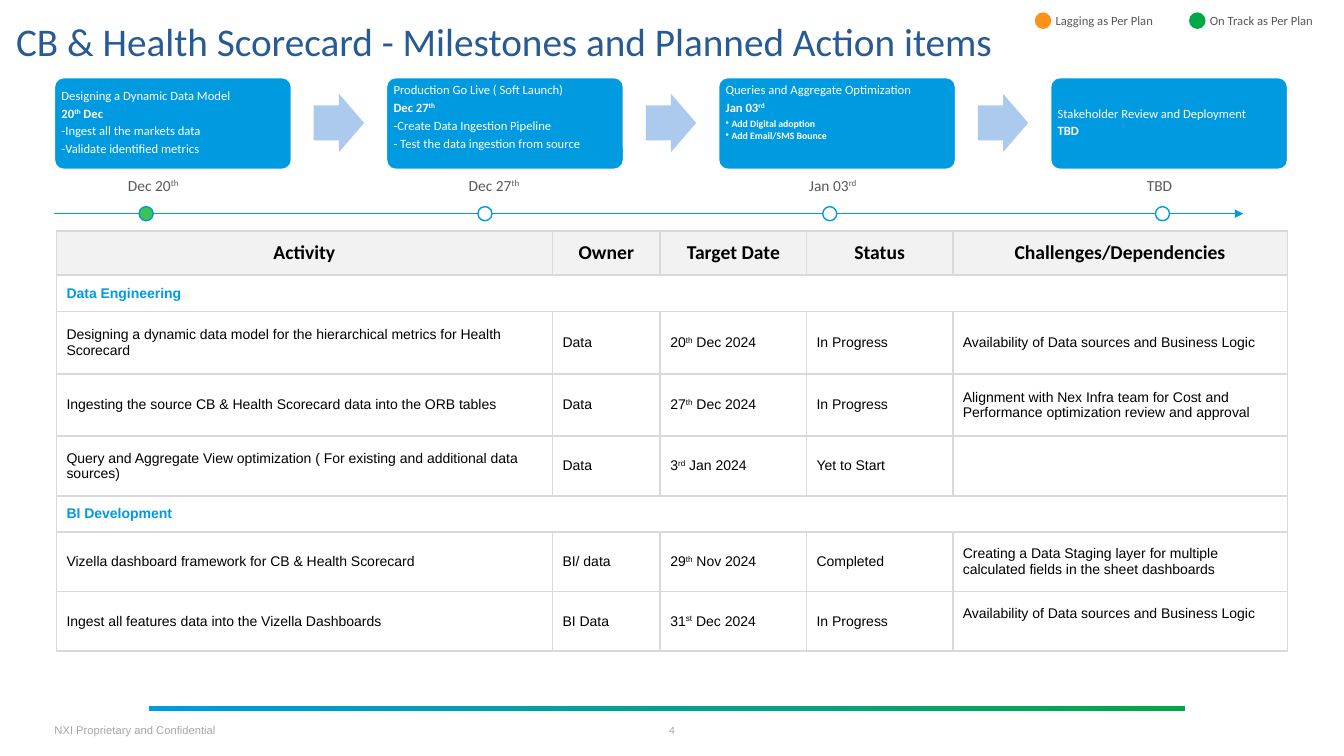
from dataclasses import dataclass

from lxml import etree
from pptx import Presentation
from pptx.dml.color import RGBColor
from pptx.enum.shapes import MSO_CONNECTOR, MSO_SHAPE as Preset
from pptx.enum.text import MSO_ANCHOR as Anchor, PP_ALIGN as Align
from pptx.oxml.ns import qn
from pptx.util import Inches, Pt


class Theme:
    head_font, table_font = "Calibri", "Arial"
    blue, green, orange, done = "009AE0", "00A846", "FC9318", "3DC353"
    arrow, title, gray, pale_gray = "ABCAED", "285A93", "595959", "A6A6A6"
    white, black, header, border = "FFFFFF", "000000", "F2F2F2", "D9D9D9"
    title_size, header_size, date_size, body_size = 28, 14, 11, 10
    card_size, small_size, bullet_size = 9, 8, 7


@dataclass
class Box:
    left: float
    top: float
    width: float
    height: float

    def emu(self):
        return [Inches(n) for n in (self.left, self.top, self.width, self.height)]


# Cards: anchor and lines; "*" marks bold, "•" a bold bullet, "^" a superscript
CARDS = [
    (Anchor.MIDDLE, ["Designing a Dynamic Data Model", "*20^th^ Dec",
                     "-Ingest all the markets data", "-Validate identified metrics"]),
    (Anchor.TOP, ["Production Go Live ( Soft Launch)", "*Dec 27^th^",
                  "-Create Data Ingestion Pipeline", "- Test the data ingestion from source"]),
    (Anchor.TOP, ["Queries and Aggregate Optimization", "*Jan 03^rd^",
                  "•Add Digital adoption", "•Add Email/SMS Bounce"]),
    (Anchor.MIDDLE, ["Stakeholder Review and Deployment", "*TBD"]),
]
# Milestones: label, label centre, dot centre, dot fill
MILESTONES = [
    ("Dec 20^th^", 1.52, 1.45, Theme.done),
    ("Dec 27^th^", 4.9, 4.81, Theme.white),
    ("Jan 03^rd^", 8.26, 8.23, Theme.white),
    ("TBD", 11.5, 11.53, Theme.white),
]
COLUMNS = [4.92, 1.07, 1.45, 1.45, 3.32]
ROW_HEIGHTS = [0.44, 0.36, 0.62, 0.62, 0.59, 0.36, 0.59, 0.59]
ROWS = [
    ["Activity", "Owner", "Target Date", "Status", "Challenges/Dependencies"],
    ["Data Engineering"],
    ["Designing a dynamic data model for the hierarchical metrics for Health Scorecard",
     "Data", "20^th^ Dec 2024", "In Progress", "Availability of Data sources and Business Logic"],
    ["Ingesting the source CB & Health Scorecard data into the ORB tables",
     "Data", "27^th^ Dec 2024", "In Progress",
     "Alignment with Nex Infra team for Cost and Performance optimization review and approval"],
    ["Query and Aggregate View optimization ( For existing and additional data sources)",
     "Data", "3^rd^ Jan 2024", "Yet to Start", ""],
    ["BI Development"],
    ["Vizella dashboard framework for CB & Health Scorecard",
     "BI/ data", "29^th^ Nov 2024", "Completed",
     "Creating a Data Staging layer for multiple calculated fields in the sheet dashboards"],
    ["Ingest all features data into the Vizella Dashboards",
     "BI Data", "31^st^ Dec 2024", "In Progress",
     "Availability of Data sources and Business Logic"],
]


def color(code):
    return RGBColor.from_string(code)


def write(para, text, size, ink, font=Theme.head_font, bold=False, align=Align.LEFT):
    para.alignment = align
    para.font.size, para.font.name, para.font.bold = Pt(size), font, bold
    para.font.color.rgb = color(ink)
    for index, part in enumerate(text.split("^")):
        if part:
            span = para.add_run()
            span.text = part
            if index % 2:
                span._r.get_or_add_rPr().set("baseline", "30000")


def add_frame(page, box, inset=0.0, anchor=Anchor.MIDDLE, wrap=True):
    frame = page.shapes.add_textbox(*box.emu()).text_frame
    frame.word_wrap, frame.vertical_anchor = wrap, anchor
    frame.margin_left = frame.margin_right = Inches(inset)
    frame.margin_top = frame.margin_bottom = Inches(inset)
    return frame


def add_preset(page, preset, box, fill, line=None, adjust=()):
    shape = page.shapes.add_shape(preset, *box.emu())
    shape.shadow.inherit = False
    shape.fill.solid()
    shape.fill.fore_color.rgb = color(fill)
    if line:
        shape.line.color.rgb, shape.line.width = color(line), Pt(1)
    else:
        shape.line.fill.background()
    for index, value in enumerate(adjust):
        shape.adjustments[index] = value
    return shape


def add_title(page, box):
    title = page.shapes.title
    title.left, title.top, title.width, title.height = box.emu()
    frame = title.text_frame
    frame.margin_left = frame.margin_right = frame.margin_bottom = 0
    frame.margin_top, frame.vertical_anchor = Inches(0.2), Anchor.MIDDLE
    para = frame.paragraphs[0]
    para.line_spacing = 0.8
    write(para, "CB & Health Scorecard - Milestones and Planned Action items",
          Theme.title_size, Theme.title)


def add_legend(page, box):
    entries = [("Lagging as Per Plan", Theme.orange), ("On Track as Per Plan", Theme.green)]
    for index, (text, fill) in enumerate(entries):
        left = box.left + index * 1.53
        add_preset(page, Preset.FLOWCHART_CONNECTOR,
                   Box(left, box.top + 0.05, 0.15, 0.15), fill, fill)
        frame = add_frame(page, Box(left + 0.2, box.top, 1.2, box.height), wrap=False)
        write(frame.paragraphs[0], text, Theme.card_size, Theme.gray)


def add_card(page, box, anchor, lines):
    add_preset(page, Preset.ROUNDED_RECTANGLE, box, Theme.blue, Theme.white, [0.1])
    inner = Box(box.left + 0.03, box.top + 0.02, box.width - 0.05, box.height - 0.05)
    frame = add_frame(page, inner, 0.04, anchor)
    for index, line in enumerate(lines):
        para = frame.add_paragraph() if index else frame.paragraphs[0]
        bullet = line.startswith("•")
        write(para, line.lstrip("*•"), Theme.bullet_size if bullet else Theme.card_size,
              Theme.white, bold=line[0] in "*•")
        para.line_spacing, para.space_after = 0.9, Pt(1 if bullet else 3)
        if bullet:
            props = para._p.get_or_add_pPr()
            props.set("marL", str(Inches(0.06)))
            props.set("indent", str(Inches(-0.06)))
            mark = etree.Element(qn("a:buChar"), char="•")
            props.find(qn("a:spcAft")).addnext(mark)


def add_process(page, box):
    card_width, arrow_width = 2.35, 0.5
    pitch = (box.width - card_width) / (len(CARDS) - 1)
    gap = (pitch - card_width - arrow_width) / 2
    for index, (anchor, lines) in enumerate(CARDS):
        left = box.left + index * pitch
        add_card(page, Box(left, box.top, card_width, box.height), anchor, lines)
        if index < len(CARDS) - 1:
            arrow = Box(left + card_width + gap, box.top + 0.16, arrow_width, 0.58)
            add_preset(page, Preset.RIGHT_ARROW, arrow, Theme.arrow, adjust=[0.6, 0.5])


def add_timeline(page, box):
    axis_y, dot = box.top + 0.43, 0.14
    axis = page.shapes.add_connector(
        MSO_CONNECTOR.STRAIGHT, Inches(box.left), Inches(axis_y),
        Inches(box.left + box.width), Inches(axis_y))
    axis.line.color.rgb, axis.line.width = color(Theme.blue), Pt(0.5)
    etree.SubElement(axis.line._get_or_add_ln(), qn("a:tailEnd"), type="triangle")
    etree.SubElement(axis._element.spPr, qn("a:effectLst"))
    for text, label_x, dot_x, fill in MILESTONES:
        label = add_frame(page, Box(label_x - 0.4, box.top, 0.8, 0.29))
        write(label.paragraphs[0], text, Theme.date_size, Theme.gray, align=Align.CENTER)
        add_preset(page, Preset.OVAL, Box(dot_x - dot / 2, axis_y - dot / 2, dot, dot),
                   fill, Theme.blue)


def style_cell(cell, fill):
    cell.fill.solid()
    cell.fill.fore_color.rgb = color(fill)
    cell.vertical_anchor = Anchor.MIDDLE
    props = cell._tc.get_or_add_tcPr()
    for index, side in enumerate(("lnL", "lnR", "lnT", "lnB")):
        line = etree.Element(qn(f"a:{side}"), w=str(Pt(1.5)))
        solid = etree.SubElement(line, qn("a:solidFill"))
        etree.SubElement(solid, qn("a:srgbClr"), val=Theme.border)
        props.insert(index, line)


def add_action_table(page, box):
    table = page.shapes.add_table(len(ROWS), len(COLUMNS), *box.emu()).table
    table.horz_banding = table.first_row = False
    for column, width in zip(table.columns, COLUMNS):
        column.width = Inches(width)
    for index, (height, texts) in enumerate(zip(ROW_HEIGHTS, ROWS)):
        table.rows[index].height = Inches(height)
        cells = list(table.rows[index].cells)
        header, section = index == 0, len(texts) == 1
        for cell in cells:
            style_cell(cell, Theme.header if header else Theme.white)
        if section:
            cells[0].merge(cells[-1])
        for cell, text in zip(cells, texts):
            para = cell.text_frame.paragraphs[0]
            if header:
                write(para, text, Theme.header_size, Theme.black, bold=True, align=Align.CENTER)
            else:
                write(para, text, Theme.body_size, Theme.blue if section else Theme.black,
                      Theme.table_font, section)
    # The last note sits a little above the middle of its row
    cells[-1].margin_bottom = Inches(0.21)


def add_footer(page, box):
    bar = add_preset(page, Preset.RECTANGLE, Box(1.48, box.top, 10.27, 0.05), Theme.blue)
    bar.fill.gradient()
    bar.fill.gradient_angle = 0
    for stop, code in zip(bar.fill.gradient_stops, (Theme.blue, Theme.green)):
        stop.color.rgb = color(code)
    notice = add_frame(page, Box(box.left, box.top + 0.13, 2, 0.23))
    write(notice.paragraphs[0], "NXI Proprietary and Confidential", Theme.small_size,
          Theme.pale_gray, Theme.table_font)
    number = add_frame(page, Box(6.48, box.top + 0.13, 0.37, 0.23))
    write(number.paragraphs[0], "4", Theme.small_size, Theme.pale_gray, align=Align.CENTER)


def main():
    deck = Presentation()
    deck.slide_width, deck.slide_height = Inches(13.33), Inches(7.5)
    page = deck.slides.add_slide(deck.slide_layouts[5])
    add_title(page, Box(0.16, 0.09, 12.61, 0.51))
    add_legend(page, Box(10.27, 0.08, 2.9, 0.25))
    add_process(page, Box(0.54, 0.77, 12.23, 0.91))
    add_timeline(page, Box(0.54, 1.69, 11.79, 0.5))
    add_action_table(page, Box(0.56, 2.29, 12.21, 4.17))
    add_footer(page, Box(0.54, 7, 12.25, 0.36))
    deck.save("out.pptx")


if __name__ == "__main__":
    main()
